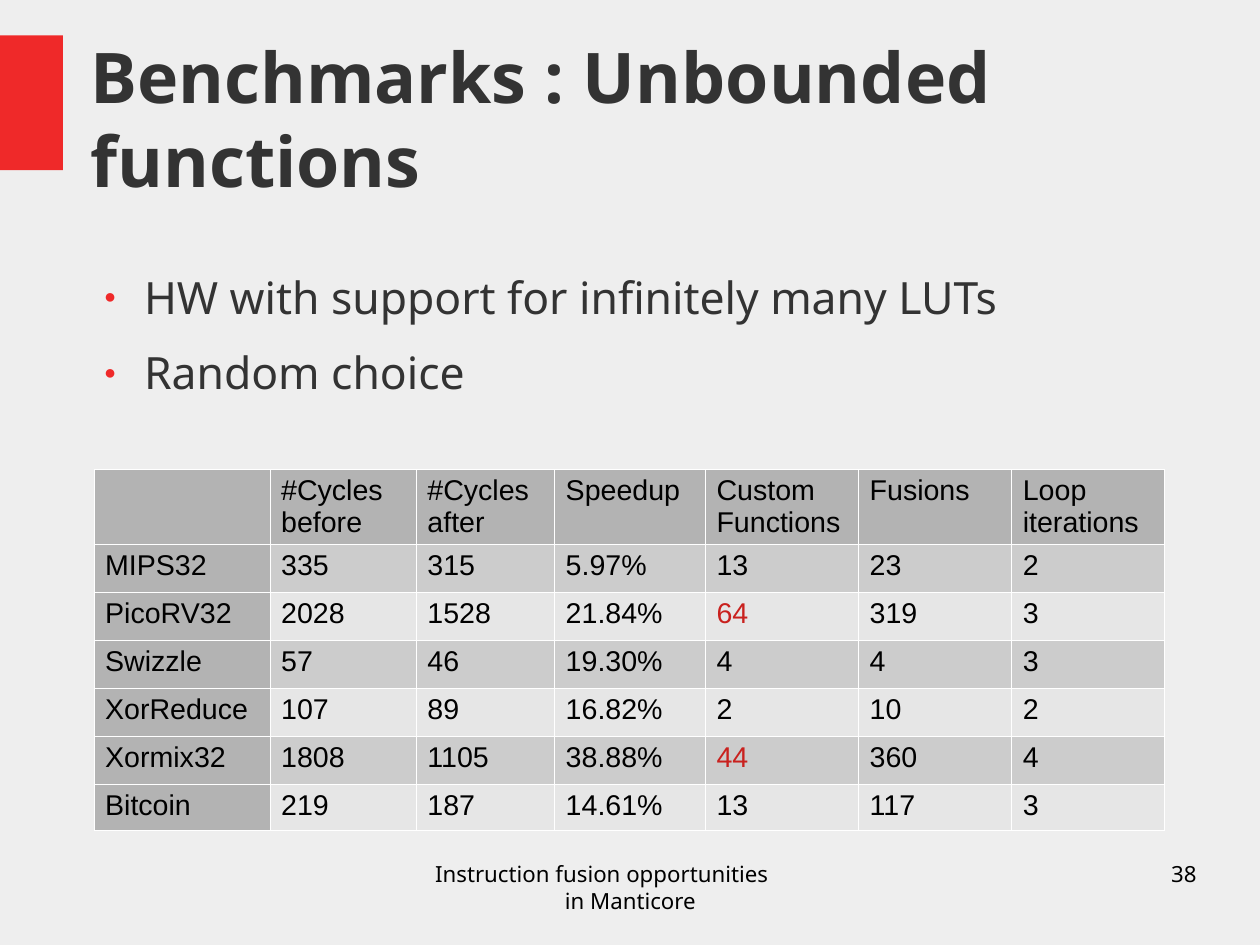
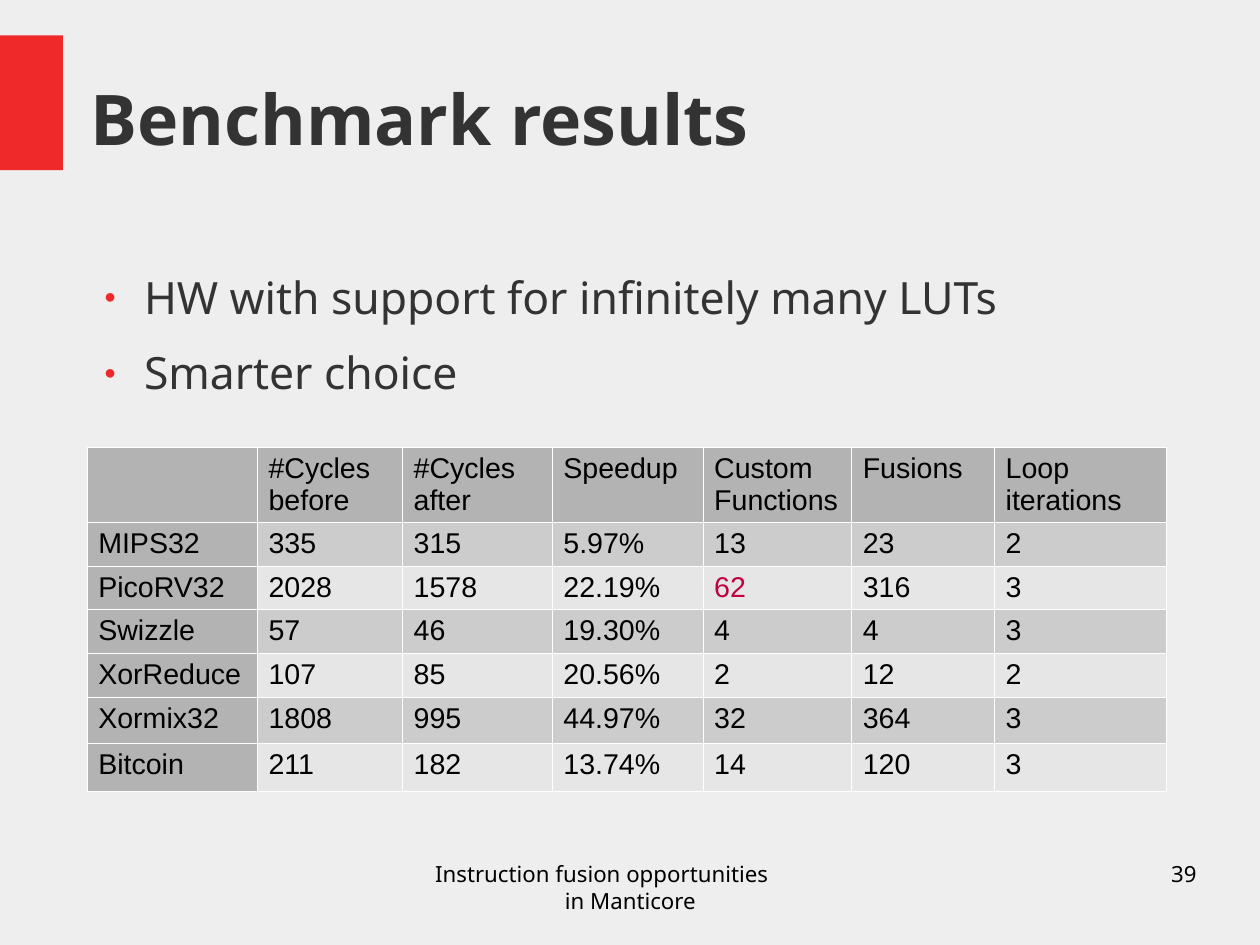
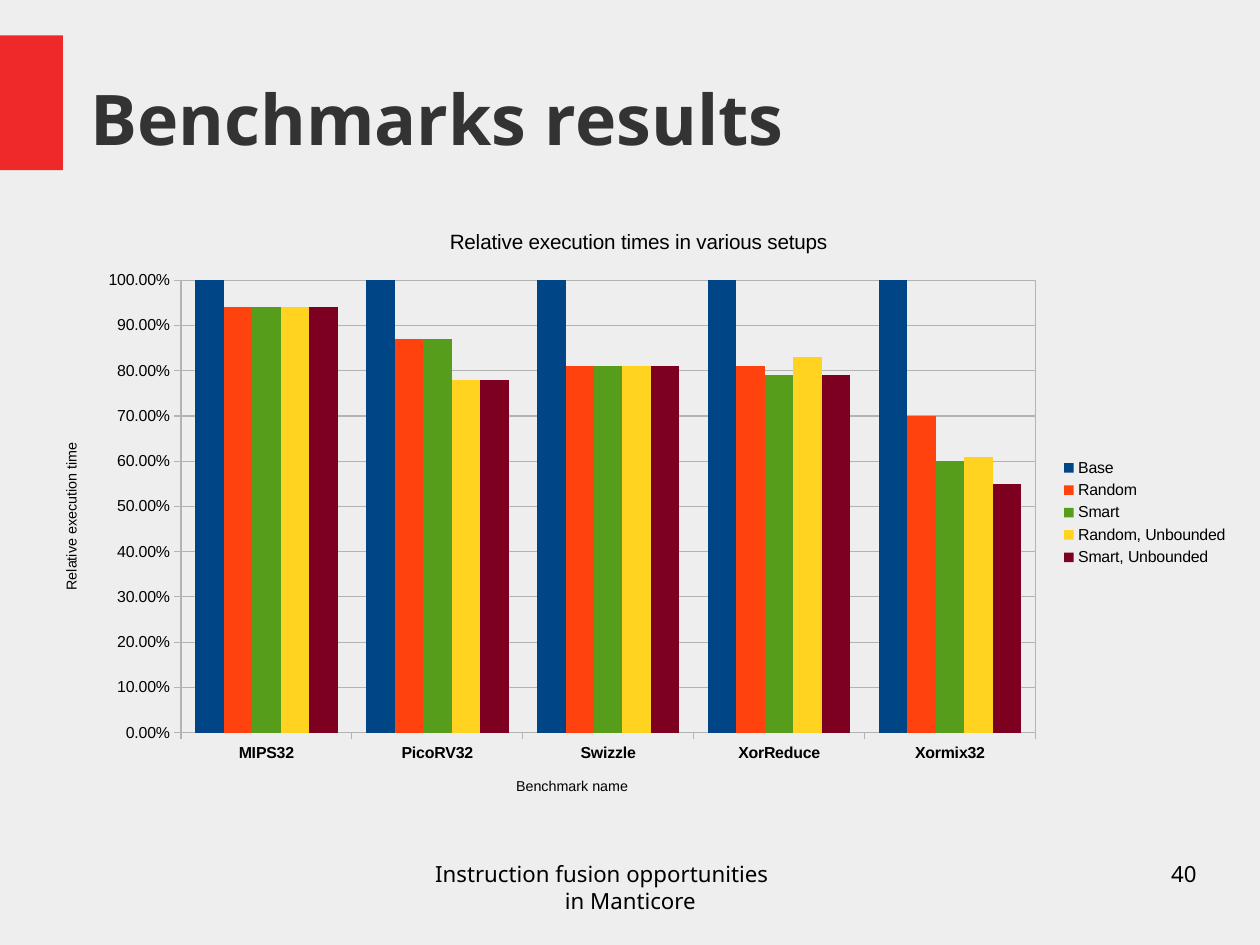
from lxml.etree import SubElement
from pptx import Presentation
from pptx.chart.data import CategoryChartData
from pptx.dml.color import RGBColor
from pptx.enum.chart import XL_CHART_TYPE, XL_LEGEND_POSITION, XL_TICK_MARK
from pptx.enum.shapes import MSO_SHAPE
from pptx.enum.text import MSO_ANCHOR, MSO_AUTO_SIZE, PP_ALIGN
from pptx.oxml import parse_xml
from pptx.oxml.ns import nsdecls, qn
from pptx.util import Cm, Inches, Pt

PAPER = RGBColor(0xEE, 0xEE, 0xEE)
ACCENT = RGBColor(0xEF, 0x29, 0x29)
INK = RGBColor(0x33, 0x33, 0x33)
BLACK = RGBColor(0x00, 0x00, 0x00)
WHITE = RGBColor(0xFF, 0xFF, 0xFF)
HEADING_GRAY = RGBColor(0xB3, 0xB3, 0xB3)
DARK_ROW = RGBColor(0xCC, 0xCC, 0xCC)
LIGHT_ROW = RGBColor(0xE6, 0xE6, 0xE6)
RED = RGBColor(0xC9, 0x21, 0x1E)
CRIMSON = RGBColor(0xBF, 0x00, 0x41)
SERIES_COLORS = [
    RGBColor(0x00, 0x45, 0x86),
    RGBColor(0xFF, 0x42, 0x0E),
    RGBColor(0x57, 0x9D, 0x1C),
    RGBColor(0xFF, 0xD3, 0x20),
    RGBColor(0x7E, 0x00, 0x21),
]
TEXT_FONT = "Noto Sans"
DATA_FONT = "Arial"
FIRST_PAGE = 38
FOOTER = ["Instruction fusion opportunities", "in Manticore"]
HEADINGS = ["", "#Cycles before", "#Cycles after", "Speedup",
            "Custom Functions", "Fusions", "Loop iterations"]

RANDOM_ROWS = [
    ["MIPS32", "335", "315", "5.97%", "13", "23", "2"],
    ["PicoRV32", "2028", "1528", "21.84%", "64", "319", "3"],
    ["Swizzle", "57", "46", "19.30%", "4", "4", "3"],
    ["XorReduce", "107", "89", "16.82%", "2", "10", "2"],
    ["Xormix32", "1808", "1105", "38.88%", "44", "360", "4"],
    ["Bitcoin", "219", "187", "14.61%", "13", "117", "3"],
]
SMART_ROWS = [
    ["MIPS32", "335", "315", "5.97%", "13", "23", "2"],
    ["PicoRV32", "2028", "1578", "22.19%", "62", "316", "3"],
    ["Swizzle", "57", "46", "19.30%", "4", "4", "3"],
    ["XorReduce", "107", "85", "20.56%", "2", "12", "2"],
    ["Xormix32", "1808", "995", "44.97%", "32", "364", "3"],
    ["Bitcoin", "211", "182", "13.74%", "14", "120", "3"],
]
BENCHMARKS = ["MIPS32", "PicoRV32", "Swizzle", "XorReduce", "Xormix32"]
TIMES = {
    "Base": [1, 1, 1, 1, 1],
    "Random": [0.94, 0.87, 0.81, 0.81, 0.7],
    "Smart": [0.94, 0.87, 0.81, 0.79, 0.6],
    "Random, Unbounded": [0.94, 0.78, 0.81, 0.83, 0.61],
    "Smart, Unbounded": [0.94, 0.78, 0.81, 0.79, 0.55],
}


class BenchmarkDeck:
    """Holds the shared style and the slide being built."""

    def __init__(self):
        self.deck = Presentation()
        self.deck.slide_width = Cm(28)
        self.deck.slide_height = Cm(21)
        fill = self.deck.slide_master.background.fill
        fill.solid()
        fill.fore_color.rgb = PAPER
        self.page = None

    def style(self, font, size, name=DATA_FONT, color=BLACK, bold=False):
        """Set every property of a font."""
        font.size, font.name, font.bold = Pt(size), name, bold
        font.color.rgb = color

    def place(self, shape, left, top, width, height):
        """Move a shape to a box given in inches."""
        shape.left, shape.top = Inches(left), Inches(top)
        shape.width, shape.height = Inches(width), Inches(height)

    def frame(self, shape):
        """Return the text frame of a shape, wrapped and without margins."""
        frame = shape.text_frame
        frame.word_wrap = True
        frame.auto_size = MSO_AUTO_SIZE.NONE
        frame.margin_left = frame.margin_right = 0
        frame.margin_top = frame.margin_bottom = 0
        return frame

    def start(self, title, layout):
        """Add a slide with its title, band and footer."""
        self.page = self.deck.slides.add_slide(self.deck.slide_layouts[layout])
        if len(self.deck.slides) == 1:
            self.band()
        heading = self.page.shapes.title
        self.place(heading, 0.79, 0.19, 9.68, 1.67)
        frame = self.frame(heading)
        frame.vertical_anchor = MSO_ANCHOR.MIDDLE
        frame.text = title
        para = frame.paragraphs[0]
        para.alignment = PP_ALIGN.LEFT
        self.style(para.font, 44, TEXT_FONT, INK, True)
        lines = self.label(FOOTER, 3.77, 3.49, PP_ALIGN.CENTER)
        for para, indent in zip(lines, (0, 0.5)):
            properties = para._p.get_or_add_pPr()
            properties.set("marL", str(Inches(indent)))
            properties.set("marR", str(Inches(0.5)))
        number = FIRST_PAGE + len(self.deck.slides) - 1
        self.label([str(number)], 7.9, 2.57, PP_ALIGN.RIGHT)

    def band(self):
        """Put the accent band on the slide master."""
        band = self.page.shapes.add_shape(
            MSO_SHAPE.RECTANGLE, 0, Inches(0.31), Inches(0.55), Inches(1.18))
        band.shadow.inherit = False
        band.fill.solid()
        band.fill.fore_color.rgb = ACCENT
        band.line.fill.background()
        self.deck.slide_master.shapes.element.append(band.element)

    def label(self, lines, left, width, alignment):
        """Add footer text and return its paragraphs."""
        box = self.page.shapes.add_textbox(
            Inches(left), Inches(7.53), Inches(width), Inches(0.57))
        frame = self.frame(box)
        frame.text = "\n".join(lines)
        for para in frame.paragraphs:
            para.alignment = alignment
            self.style(para.font, 14, TEXT_FONT)
        return frame.paragraphs

    def bullets(self, items):
        """Fill the body placeholder with a bulleted list."""
        body = self.page.placeholders[1]
        self.place(body, 0.79, 2.36, 9.45, 4.17)
        frame = self.frame(body)
        frame.text = "\n".join(items)
        for para in frame.paragraphs:
            para.space_before, para.space_after = Pt(0), Pt(14.1)
            properties = para._p.get_or_add_pPr()
            properties.set("marL", str(Inches(0.47)))
            properties.set("indent", str(Inches(-0.35)))
            color = SubElement(properties, qn("a:buClr"))
            SubElement(color, qn("a:srgbClr"), val=str(ACCENT))
            SubElement(properties, qn("a:buSzPct"), val="45000")
            SubElement(properties, qn("a:buChar"), char="●")
            self.style(para.font, 28, TEXT_FONT, INK)

    def table(self, left, top, widths, heights, rows, marks):
        """Add a results table, with marked cells in their own colour."""
        rows = [HEADINGS] + rows
        table = self.page.shapes.add_table(
            len(rows), len(widths), Inches(left), Inches(top),
            Inches(sum(widths)), Inches(sum(heights))).table
        table.first_row = table.horz_banding = False
        for column, width in zip(table.columns, widths):
            column.width = Inches(width)
        for row, height in zip(table.rows, heights):
            row.height = Inches(height)
        for i, row in enumerate(rows):
            for j, text in enumerate(row):
                cell = table.cell(i, j)
                banding = DARK_ROW if i % 2 else LIGHT_ROW
                self.borders(cell)
                cell.fill.solid()
                cell.fill.fore_color.rgb = banding if i and j else HEADING_GRAY
                cell.text = text
                color = marks.get((row[0], HEADINGS[j]), BLACK)
                self.style(cell.text_frame.paragraphs[0].font, 18, color=color)

    def borders(self, cell):
        """Draw hairlines on all four sides of a cell."""
        properties = cell._tc.get_or_add_tcPr()
        for side in ("a:lnL", "a:lnR", "a:lnT", "a:lnB"):
            line = SubElement(properties, qn(side), w=str(Pt(0.06)))
            fill = SubElement(line, qn("a:solidFill"))
            SubElement(fill, qn("a:srgbClr"), val=str(WHITE))

    def chart(self, title, categories, series):
        """Add the clustered column chart."""
        data = CategoryChartData(number_format="0.00%")
        data.categories = categories
        for name, values in series.items():
            data.add_series(name, values)
        chart = self.page.shapes.add_chart(
            XL_CHART_TYPE.COLUMN_CLUSTERED, Inches(0.32), Inches(1.81),
            Inches(10.53), Inches(5.35), data).chart
        self.style(chart.font, 10)
        chart.has_title = True
        self.caption(chart.chart_title, title, 13)
        chart.has_legend = True
        chart.legend.position = XL_LEGEND_POSITION.RIGHT
        chart.legend.include_in_layout = False
        self.style(chart.legend.font, 10)
        plot = chart.plots[0]
        plot.gap_width, plot.overlap = 100, 0
        plot.vary_by_categories = False
        for bars, color in zip(plot.series, SERIES_COLORS):
            bars.format.fill.solid()
            bars.format.fill.fore_color.rgb = color
        self.axis(chart.category_axis, "Benchmark name", True)
        scale = chart.value_axis
        self.axis(scale, "Relative execution time", False)
        scale.minimum_scale, scale.maximum_scale, scale.major_unit = 0, 1, 0.1
        scale.tick_labels.number_format = "0.00%"
        scale.tick_labels.number_format_is_linked = False
        scale.has_major_gridlines = True
        self.hairline(scale.major_gridlines.format.line)
        self.plot_area(chart)

    def caption(self, owner, text, size):
        """Write the title of a chart or an axis."""
        owner.text_frame.text = text
        self.style(owner.text_frame.paragraphs[0].font, size)

    def hairline(self, line):
        """Give a chart line the thin gray look."""
        line.width = 0
        line.color.rgb = HEADING_GRAY

    def axis(self, axis, title, bold):
        """Format one chart axis."""
        axis.has_title = True
        self.caption(axis.axis_title, title, 9)
        axis.major_tick_mark = XL_TICK_MARK.OUTSIDE
        axis.minor_tick_mark = XL_TICK_MARK.NONE
        self.style(axis.tick_labels.font, 10, bold=bold)
        self.hairline(axis.format.line)

    def plot_area(self, chart):
        """Fix the inner plot rectangle and outline it."""
        area = chart.element.find(".//" + qn("c:plotArea"))
        for layout in area.findall(qn("c:layout")):
            area.remove(layout)
        sides = {"x": 0.12, "y": 0.12, "w": 0.71, "h": 0.74}
        sizes = "".join(f'<c:{k} val="{v}"/>' for k, v in sides.items())
        area.insert(0, parse_xml(
            f'<c:layout {nsdecls("c")}><c:manualLayout>'
            '<c:layoutTarget val="inner"/><c:xMode val="edge"/>'
            f'<c:yMode val="edge"/>{sizes}</c:manualLayout></c:layout>'))
        area.append(parse_xml(
            f'<c:spPr {nsdecls("c", "a")}><a:noFill/><a:ln w="0"><a:solidFill>'
            f'<a:srgbClr val="{HEADING_GRAY}"/></a:solidFill></a:ln></c:spPr>'))


def main():
    """Build and save the three slides."""
    show = BenchmarkDeck()
    hardware = "HW with support for infinitely many LUTs"

    show.start("Benchmarks : Unbounded functions", 1)
    show.bullets([hardware, "Random choice"])
    show.table(0.82, 4.1, [1.54, 1.28, 1.21, 1.32, 1.34, 1.34, 1.34],
               [0.66] + [0.42] * 5 + [0.4], RANDOM_ROWS,
               {("PicoRV32", "Custom Functions"): RED,
                ("Xormix32", "Custom Functions"): RED})

    show.start("Benchmark results", 1)
    show.bullets([hardware, "Smarter choice"])
    show.table(0.76, 3.91, [1.49, 1.27, 1.31, 1.32, 1.3, 1.25, 1.5],
               [0.66] + [0.38] * 3 + [0.39, 0.4, 0.42], SMART_ROWS,
               {("PicoRV32", "Custom Functions"): CRIMSON})

    show.start("Benchmarks results", 5)
    show.chart("Relative execution times in various setups", BENCHMARKS, TIMES)

    show.deck.save("out.pptx")


if __name__ == "__main__":
    main()
